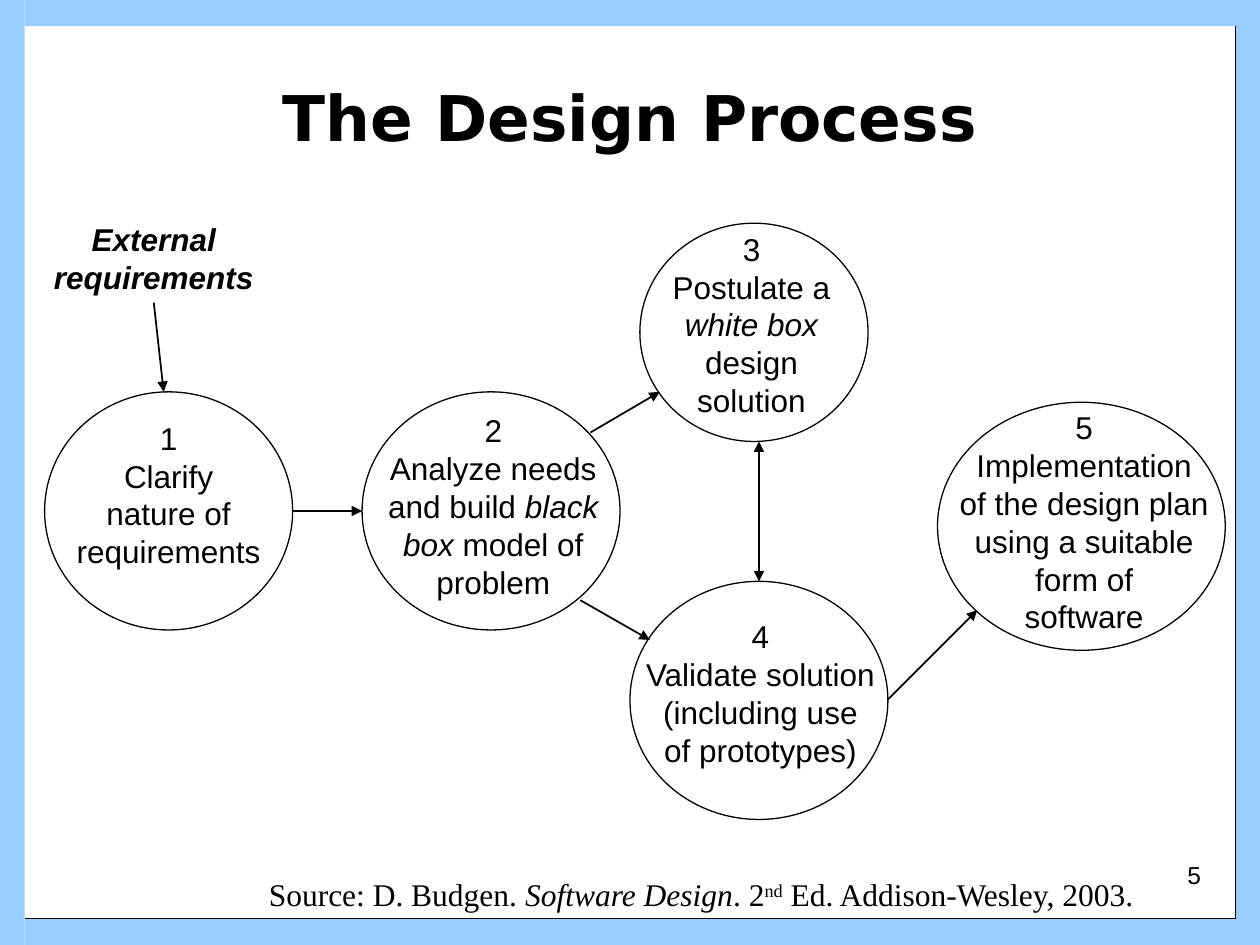
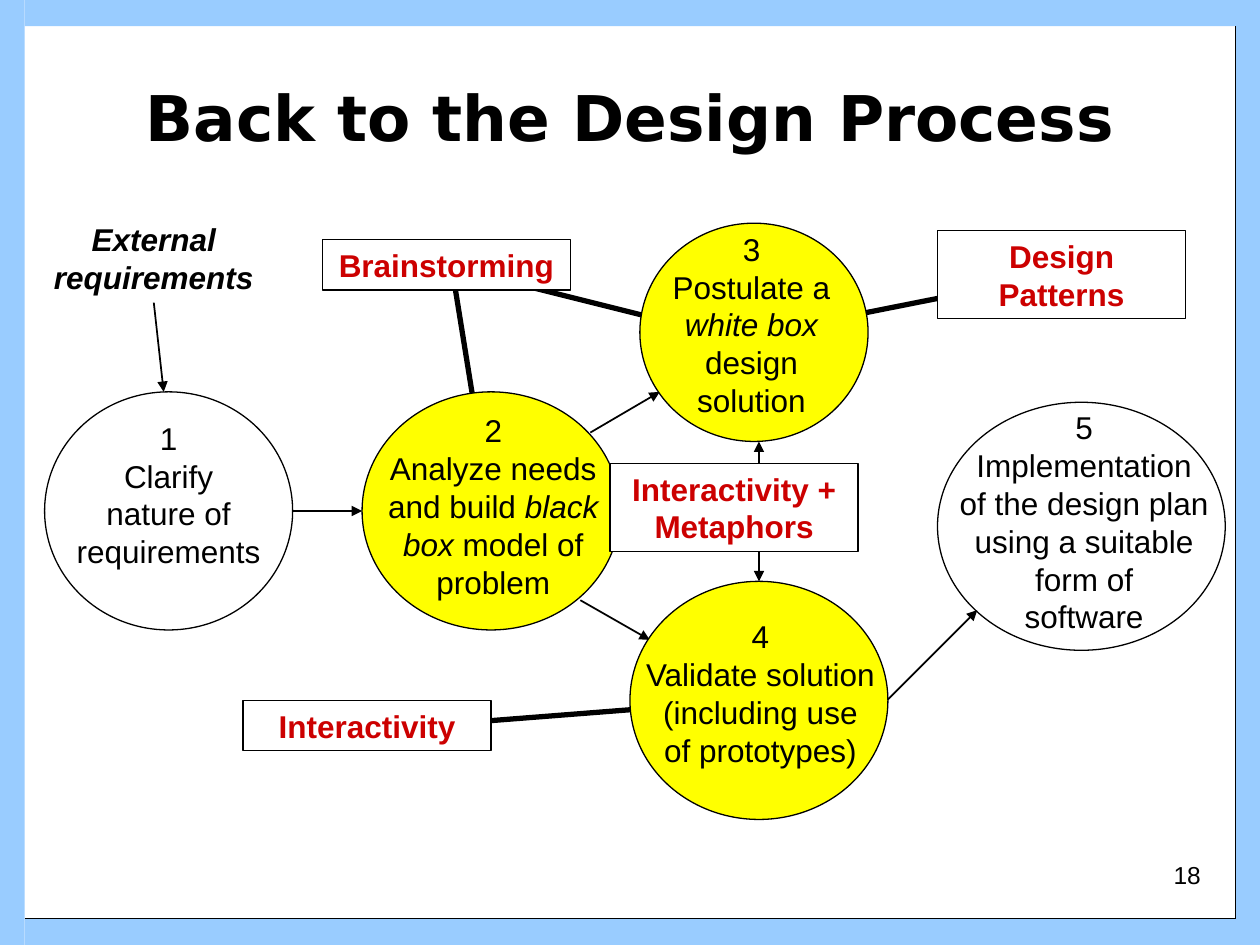
from typing import NamedTuple

import lxml.etree
import pptx
import pptx.dml.color
import pptx.enum.shapes
import pptx.enum.text
import pptx.oxml.ns
import pptx.util

COLORS = {"ink": "000000", "paper": "FFFFFF", "band": "99CCFF", "active": "FFFF00", "technique": "CC0000"}
SLIDE_WIDTH, SLIDE_HEIGHT = pptx.util.Inches(10), pptx.util.Inches(7.5)
COLUMNS, ROWS = 254, 190.5
SIDE_BAND, FLAT_BAND = 5, 5.3
LINE_ROWS, PADDING_ROWS = 7.62, 2.54
INSETS = (0.1, 0.05, 0.1, 0.05)
ALIGN = pptx.enum.text.PP_ALIGN
ANCHOR = pptx.enum.text.MSO_ANCHOR
SHAPE = pptx.enum.shapes.MSO_SHAPE


class Box(NamedTuple):
    column: float
    row: float
    columns: float
    rows: float


class Run(NamedTuple):
    text: str
    italic: bool = False
    superscript: bool = False


class Step(NamedTuple):
    circle: Box
    caption_column: float
    caption_row: float
    caption_columns: float
    lines: tuple


class Link(NamedTuple):
    start: tuple[float, float]
    end: tuple[float, float]
    width: float = 1
    heads: tuple[str, ...] = ("tailEnd",)


class Technique(NamedTuple):
    text: str
    column: float
    row: float
    line_count: int


STEPS = {
    1: Step(Box(9, 79, 50, 48), 9, 83.2, 50, ("Clarify", "nature of", "requirements")),
    2: Step(Box(73, 79, 52, 48), 75.7, 81.7, 47.5, (
        "Analyze needs",
        (Run("and build "), Run("black", italic=True)),
        (Run("box", italic=True), Run(" model of")),
        "problem",
    )),
    3: Step(Box(129, 45, 46, 44), 133.1, 45.1, 36.8, (
        "Postulate a", (Run("white box", italic=True),), "design", "solution",
    )),
    4: Step(Box(127, 117.2, 52, 48), 127.5, 123.2, 51.6, (
        "Validate solution", "(including use", "of prototypes)",
    )),
    5: Step(Box(189, 81.1, 58, 50), 191, 81.1, 55.1, (
        "Implementation", "of the design plan", "using a suitable", "form of", "software",
    )),
}

FLOW = (
    Link((31, 61), (33, 79)),
    Link((59, 103), (73, 103)),
    Link((117, 121), (131, 129)),
    Link((153, 89), (153, 117.2), heads=("headEnd", "tailEnd")),
    Link((119, 87.2), (133, 79)),
    Link((179, 141), (197, 123)),
)

TIES = tuple(Link(start, end, width=3, heads=()) for start, end in (
    ((89, 53.4), (153, 69.4)),
    ((91, 53.4), (99, 103)),
    ((151, 141.2), (73, 147.3)),
    ((153, 67.3), (213, 55.4)),
))

TECHNIQUES = (
    Technique("Interactivity", 49, 141.2, 1),
    Technique("Brainstorming", 65, 48.3, 1),
    Technique("Design Patterns", 189, 46.5, 2),
    Technique("Interactivity + Metaphors", 123, 93.4, 2),
)

CITATION = (
    Run("Source: D. Budgen. "),
    Run("Software Design", italic=True),
    Run(". 2"),
    Run("nd", superscript=True),
    Run(" Ed. Addison-Wesley, 2003."),
)


def across(columns: float) -> int:
    return round(SLIDE_WIDTH * columns / COLUMNS)


def down(rows: float) -> int:
    return round(SLIDE_HEIGHT * rows / ROWS)


def placed(box: Box) -> tuple[int, int, int, int]:
    return across(box.column), down(box.row), across(box.columns), down(box.rows)


def text_rows(line_count: int) -> float:
    return PADDING_ROWS + LINE_ROWS * line_count


def rgb(color: str) -> pptx.dml.color.RGBColor:
    return pptx.dml.color.RGBColor.from_string(COLORS[color])


def write(frame, *lines, size: float = 18, font: str = "Arial", color: str = "ink",
          bold: bool = False, italic: bool = False, align=ALIGN.CENTER,
          anchor=ANCHOR.TOP, wrap: bool = True, insets: tuple = INSETS) -> None:
    frame.auto_size = pptx.enum.text.MSO_AUTO_SIZE.NONE
    frame.word_wrap = wrap
    frame.vertical_anchor = anchor
    frame.margin_left, frame.margin_top, frame.margin_right, frame.margin_bottom = map(pptx.util.Inches, insets)
    for index, line in enumerate(lines):
        paragraph = frame.add_paragraph() if index else frame.paragraphs[0]
        paragraph.alignment = align
        for part in (Run(line),) if isinstance(line, str) else line:
            run = paragraph.add_run()
            run.text = part.text
            run.font.name = font
            run.font.size = pptx.util.Pt(size)
            run.font.bold = bold
            run.font.italic = italic or part.italic
            run.font.color.rgb = rgb(color)
            if part.superscript:
                run._r.get_or_add_rPr().set("baseline", "30000")


def add_text(shapes, box: Box, *lines, **text_format) -> None:
    write(shapes.add_textbox(*placed(box)).text_frame, *lines, **text_format)


def add_figure(shapes, kind, box: Box, fill: str | None = None, outline: str | None = None):
    figure = shapes.add_shape(kind, *placed(box))
    figure.shadow.inherit = False
    if fill:
        figure.fill.solid()
        figure.fill.fore_color.rgb = rgb(fill)
    else:
        figure.fill.background()
    if outline:
        figure.line.color.rgb = rgb(outline)
        figure.line.width = pptx.util.Pt(0.75)
    else:
        figure.line.fill.background()
    return figure


def add_link(shapes, link: Link) -> None:
    connector = shapes.add_connector(
        pptx.enum.shapes.MSO_CONNECTOR.STRAIGHT,
        across(link.start[0]), down(link.start[1]), across(link.end[0]), down(link.end[1]),
    )
    connector.line.color.rgb = rgb("ink")
    connector.line.width = pptx.util.Pt(link.width)
    outline = connector.line._get_or_add_ln()
    for head in link.heads:
        lxml.etree.SubElement(outline, pptx.oxml.ns.qn(f"a:{head}"), type="triangle")
    lxml.etree.SubElement(connector._element.spPr, pptx.oxml.ns.qn("a:effectLst"))


def add_frame(shapes) -> None:
    right, bottom = COLUMNS - SIDE_BAND, ROWS - FLAT_BAND
    inner_columns = right - SIDE_BAND
    for band in (
        Box(SIDE_BAND, bottom, inner_columns, FLAT_BAND),
        Box(right, 0, SIDE_BAND, ROWS),
        Box(0, 0, SIDE_BAND, ROWS),
        Box(SIDE_BAND, 0, inner_columns, FLAT_BAND),
    ):
        add_figure(shapes, SHAPE.RECTANGLE, band, fill="band")
    for start in ((right, FLAT_BAND), (SIDE_BAND, bottom)):
        add_link(shapes, Link(start, (right, bottom), width=0.75, heads=()))


def add_step(shapes, number: int, step: Step, fill: str | None) -> None:
    group = shapes.add_group_shape().shapes
    add_figure(group, SHAPE.OVAL, step.circle, fill=fill, outline="ink")
    caption = Box(step.caption_column, step.caption_row, step.caption_columns, text_rows(len(step.lines) + 1))
    add_text(group, caption, str(number), *step.lines, wrap=False)


def add_technique(shapes, technique: Technique) -> None:
    box = Box(technique.column, technique.row, 50, text_rows(technique.line_count))
    label = add_figure(shapes, SHAPE.RECTANGLE, box, fill="paper", outline="ink")
    write(label.text_frame, technique.text, color="technique", bold=True, anchor=ANCHOR.MIDDLE)


def add_process_slide(deck, heading: str, page: int, active: tuple = (),
                      ties: tuple = (), techniques: tuple = ()):
    slide = deck.slides.add_slide(deck.slide_layouts[5])
    shapes = slide.shapes
    add_frame(shapes)
    title = shapes.title
    title.left, title.top, title.width, title.height = placed(Box(12.7, 7.6, 228.6, 31.75))
    write(title.text_frame, heading, size=36, font="DejaVu Sans", bold=True, anchor=ANCHOR.MIDDLE)
    for link in ties + FLOW:
        add_link(shapes, link)
    add_text(shapes, Box(7, 43.2, 48, text_rows(2)), "External requirements", bold=True, italic=True)
    for number, step in STEPS.items():
        add_step(shapes, number, step, "active" if number in active else None)
    for technique in techniques:
        add_technique(shapes, technique)
    add_text(shapes, Box(189, 171.2, 59.2, 13.2), str(page), size=14, align=ALIGN.RIGHT,
             anchor=ANCHOR.BOTTOM, insets=(0, 0, 0.24, 0.2))
    return slide


def main() -> None:
    deck = pptx.Presentation()
    deck.slide_width, deck.slide_height = SLIDE_WIDTH, SLIDE_HEIGHT
    overview = add_process_slide(deck, "The Design Process", 5)
    add_text(overview.shapes, Box(9, 175.2, 222, text_rows(1)), CITATION,
             font="Times New Roman", align=ALIGN.RIGHT)
    add_process_slide(deck, "Back to the Design Process", 18, active=(2, 3, 4),
                      ties=TIES, techniques=TECHNIQUES)
    deck.save("out.pptx")


if __name__ == "__main__":
    main()
